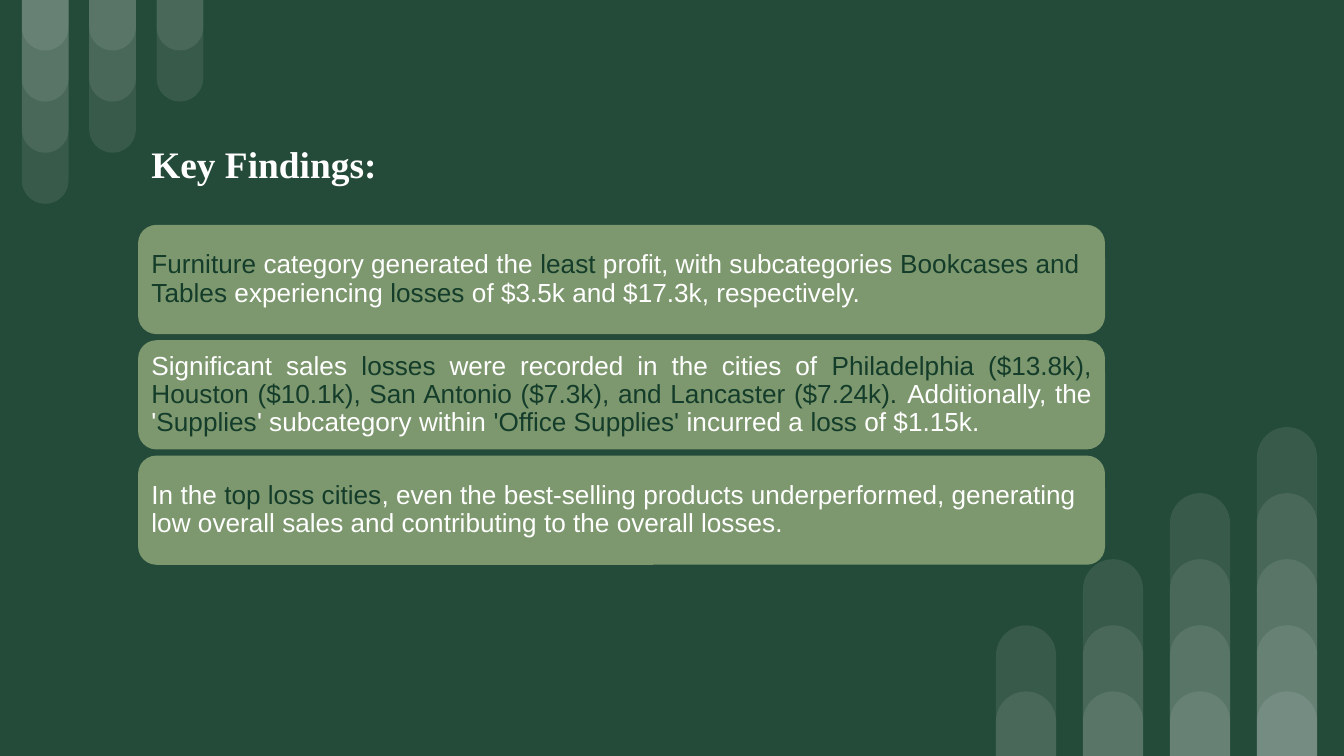
from lxml import etree
from pptx import Presentation
from pptx.dml.color import RGBColor
from pptx.enum.shapes import MSO_SHAPE
from pptx.enum.text import MSO_ANCHOR, PP_ALIGN
from pptx.oxml.ns import qn
from pptx.util import Pt

BAR = MSO_SHAPE.ROUND_2_SAME_RECTANGLE
CARD = MSO_SHAPE.ROUNDED_RECTANGLE
MIDDLE = MSO_ANCHOR.MIDDLE
LEFT, JUSTIFY = PP_ALIGN.LEFT, PP_ALIGN.JUSTIFY
WHITE, DARK = "FFFFFF", "143C2A"


def rgb(value):
    return RGBColor.from_string(value)


def add_tinted(kind, x, y, w, h, color, opacity):
    """Add a borderless shape with a see-through fill; opacity in percent."""
    s = slide.shapes.add_shape(kind, Pt(x), Pt(y), Pt(w), Pt(h))
    s.shadow.inherit = False
    s.line.fill.background()
    s.fill.solid()
    s.fill.fore_color.rgb = rgb(color)
    clr = s.fill._xPr.find(".//" + qn("a:srgbClr"))
    etree.SubElement(clr, qn("a:alpha")).set("val", str(opacity * 1000))
    return s


prs = Presentation()
prs.slide_width, prs.slide_height = Pt(720), Pt(405)
slide = prs.slides.add_slide(prs.slide_layouts[6])
slide.background.fill.solid()
slide.background.fill.fore_color.rgb = rgb("244A39")

# Overlapping bars: hanging top left, standing bottom right
# (left, column pitch, width, shortest bar, height step, bars per column, hanging)
bar_groups = [
    (11.7, 36.1, 25, 27, 27.4, [4, 3, 2], True),
    (533.6, 46.6, 32.2, 34.6, 35.4, [2, 3, 4, 5], False),
]
for left, pitch, width, shortest, step, counts, hanging in bar_groups:
    for col, count in enumerate(counts):
        for level in range(count):
            height = shortest + level * step
            top = 0 if hanging else 405 - height
            s = add_tinted(BAR, left + col * pitch, top, width, height, WHITE, 9)
            s.adjustments[0] = 0.5
            s.rotation = 180 if hanging else 0

# Finding cards: alignment, then runs of text and colour
findings = [
    (LEFT, [
        ("Furniture", DARK), (" category generated the ", WHITE),
        ("least", DARK), (" profit, with subcategories ", WHITE),
        ("Bookcases and Tables", DARK), (" experiencing ", WHITE),
        ("losses", DARK), (" of $3.5k and $17.3k, respectively.", WHITE),
    ]),
    (JUSTIFY, [
        ("Significant sales ", WHITE), ("losses", DARK),
        (" were recorded in the cities of ", WHITE),
        ("Philadelphia ($13.8k), Houston ($10.1k), San Antonio ($7.3k), "
         "and Lancaster ($7.24k). ", DARK),
        ("Additionally, the '", WHITE), ("Supplies", DARK),
        ("' subcategory within ", WHITE), ("'Office Supplies'", DARK),
        (" incurred a ", WHITE), ("loss", DARK), (" of $1.15k.", WHITE),
    ]),
    (LEFT, [
        ("In the ", WHITE), ("top loss cities", DARK),
        (", even the best-selling products underperformed, generating low "
         "overall sales and contributing to the overall losses.", WHITE),
    ]),
]
for i, (align, runs) in enumerate(findings):
    s = add_tinted(CARD, 74, 120.5 + i * 61.8, 518, 58.5, "D7E6A3", 50)
    tf = s.text_frame
    tf.word_wrap = True
    tf.vertical_anchor = MIDDLE
    tf.margin_left = tf.margin_right = Pt(4.3)
    tf.margin_top = tf.margin_bottom = Pt(4.3)
    p = tf.paragraphs[0]
    p.alignment = align
    p.line_spacing = 0.9
    for text, color in runs:
        r = p.add_run()
        r.text = text
        r.font.name, r.font.size = "Arial", Pt(14)
        r.font.color.rgb = rgb(color)

# Heading
s = slide.shapes.add_textbox(Pt(74), Pt(72), Pt(388), Pt(31.5))
tf = s.text_frame
tf.word_wrap = True
r = tf.paragraphs[0].add_run()
r.text = "Key Findings:"
r.font.name, r.font.size, r.font.bold = "Times New Roman", Pt(20), True
r.font.color.rgb = rgb(WHITE)

prs.save("out.pptx")
